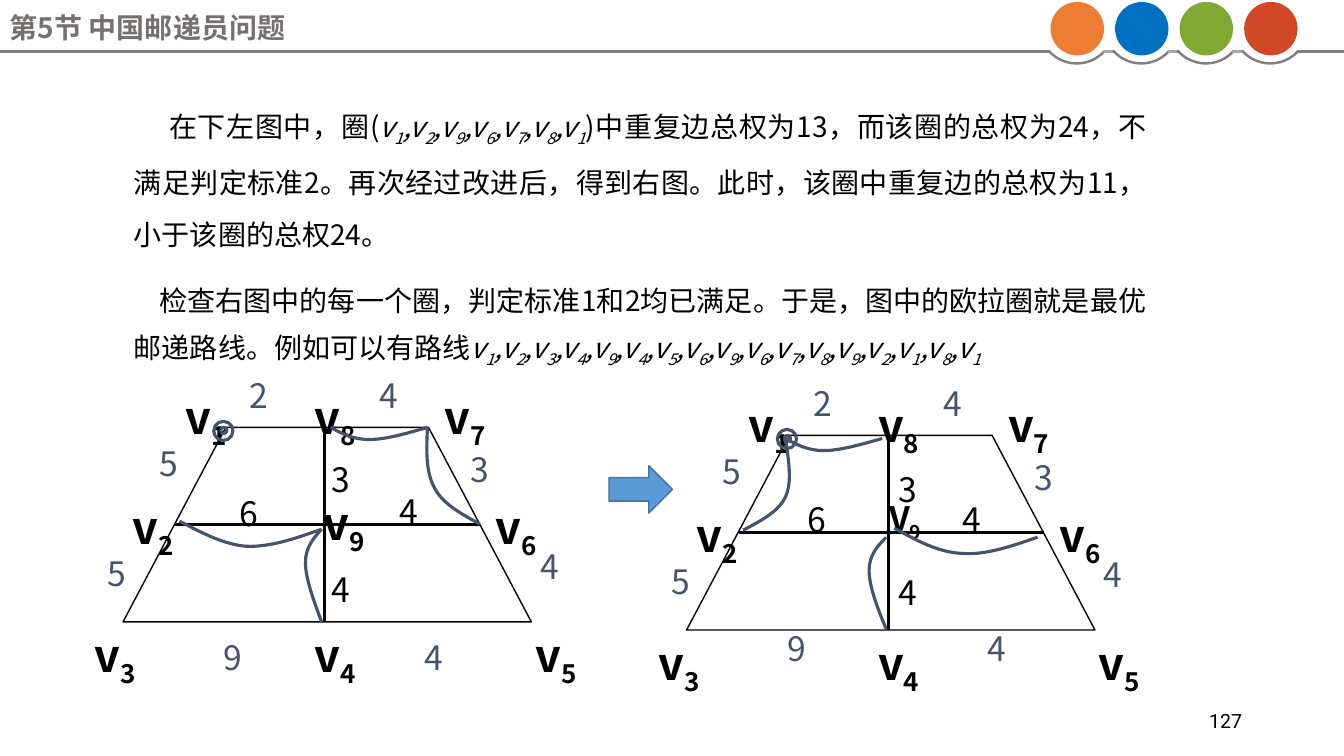
from lxml import etree
from pptx import Presentation
from pptx import util as u
from pptx.dml.color import RGBColor
from pptx.enum import shapes, text
from pptx.oxml.ns import qn

HUES = {"ink": "000000", "slate": "44546A", "title": "767171", "rule": "808080",
        "pale": "A6A6A6", "arrow": "5B9BD5", "edge": "43739E"}
DOTS = ["ED7D31", "0070C0", "80A933", "D24726"]
SANS = "Noto Sans CJK SC"

TITLE = "第5节 中国邮递员问题"
PAGE = "127"
BODY = [
    {"lead": "在下左图中，圈(", "tour": "1296781", "indent": 0.35, "before": 0,
     "tail": ")中重复边总权为13，而该圈的总权为24，不满足判定标准2。再次经过改进后，"
             "得到右图。此时，该圈中重复边的总权为11，小于该圈的总权24。"},
    {"lead": "检查右图中的每一个圈，判定标准1和2均已满足。于是，图中的欧拉圈就是最优邮递路线。"
             "例如可以有路线",
     "tour": "12349456967892181", "indent": 0.25, "before": 10, "tail": ""},
]

NODES = [("7", 3.09, -0.37), ("6", 3.6, 0.72), ("3", -0.38, 1.99), ("4", 1.8, 1.99),
         ("5", 3.99, 1.99), ("8", 1.8, -0.37), ("1", 0.52, -0.37), ("2", 0, 0.72)]
OUTER = [("2", 1.16, -0.49), ("4", 2.45, -0.49), ("5", 0.26, 0.18), ("5", -0.25, 1.27),
         ("3", 3.35, 0.24), ("4", 4.04, 1.2)]
GRAPHS = [
    {"at": (1.22, 4.24), "base": 2.11, "hub": ("v", 1.89, 0.68, 32),
     "inner": [("6", 1.06, 0.68), ("4", 1.97, 1.43), ("4", 2.64, 0.66), ("3", 1.97, 0.34)],
     "curves": [
         [(2.06, 0), (2.17, 0.06), (2.28, 0.12), (2.44, 0.12),
          (2.61, 0.12), (2.81, 0.06), (3.02, 0)],
         [(3.02, 0), (3.01, 0.22), (3, 0.44), (3.09, 0.6),
          (3.17, 0.76), (3.36, 0.86), (3.54, 0.96)],
         [(0.56, 0.93), (0.77, 1.04), (0.99, 1.16), (1.22, 1.18),
          (1.46, 1.19), (1.72, 1.1), (1.97, 1.01)],
         [(1.97, 1.01), (1.89, 1.1), (1.81, 1.19), (1.81, 1.34),
          (1.81, 1.5), (1.89, 1.71), (1.97, 1.93)]]},
    {"at": (6.81, 4.32), "base": 1.94, "hub": ("V", 1.91, 0.61, 24),
     "inner": [("6", 1.1, 0.66), ("4", 2, 1.38), ("4", 2.64, 0.66), ("3", 2, 0.36)],
     "curves": [
         [(0.98, 0.03), (1.09, 0.09), (1.2, 0.15), (1.36, 0.15),
          (1.52, 0.15), (1.73, 0.09), (1.94, 0.03)],
         [(2.06, 0.92), (2.28, 1.04), (2.49, 1.16), (2.73, 1.17),
          (2.96, 1.19), (3.22, 1.1), (3.48, 1.01)],
         [(1.98, 1.01), (1.89, 1.1), (1.81, 1.19), (1.81, 1.34),
          (1.81, 1.49), (1.89, 1.71), (1.98, 1.92)],
         [(0.98, 0.03), (1.01, 0.24), (1.05, 0.46), (0.98, 0.61),
          (0.91, 0.76), (0.73, 0.85), (0.56, 0.94)]]},
]
FRAME = [(4.05, 1.93), (3.03, 0), (1.02, 0), (0, 1.93)]
BARS = [((2, 0), (2, 1.93)), ((0.52, 0.96), (3.54, 0.96))]
RINGS = [(0.97, 0, 0.06), (0.9, -0.06, 0.19)]

deck = Presentation()
deck.slide_width, deck.slide_height = u.Inches(13.33), u.Inches(7.5)
page = deck.slides.add_slide(deck.slide_layouts[6])
items = page.shapes


def rgb(hue):
    return RGBColor.from_string(HUES.get(hue, hue))


def put(paras, box, size=24, hue="ink", font=SANS, bold=False, wrap=True, grow=False,
        pad=0.05, anchor="TOP", align=None, lead=None, first=()):
    shape = items.add_textbox(*map(u.Inches, box))
    frame = shape.text_frame
    frame.word_wrap = wrap
    frame.auto_size = text.MSO_AUTO_SIZE.SHAPE_TO_FIT_TEXT if grow else text.MSO_AUTO_SIZE.NONE
    frame.margin_top = frame.margin_bottom = u.Inches(pad)
    frame.vertical_anchor = text.MSO_ANCHOR[anchor]
    for n, runs in enumerate(paras):
        para = frame.paragraphs[0] if n == 0 else frame.add_paragraph()
        if align:
            para.alignment = text.PP_ALIGN[align]
        if lead:
            para.line_spacing = lead
        if first:
            indent, before = first[n]
            para.space_before = u.Pt(before)
            para._p.get_or_add_pPr().set("indent", str(u.Inches(indent)))
        for words, style in runs:
            run = para.add_run()
            run.text = words
            run.font.size, run.font.name = u.Pt(size), font
            run.font.color.rgb = rgb(hue)
            run.font.bold = bold
            run.font.italic = "i" in style
            props = run._r.get_or_add_rPr()
            etree.SubElement(props, qn("a:ea")).set("typeface", font)
            if "s" in style:
                props.set("baseline", "-25000")


def paint(shape, fill=None, hue=None, width=1):
    shape.shadow.inherit = False
    if fill:
        shape.fill.solid()
        shape.fill.fore_color.rgb = rgb(fill)
    else:
        shape.fill.background()
    if hue:
        shape.line.color.rgb, shape.line.width = rgb(hue), u.Pt(width)
    else:
        shape.line.fill.background()


def add(kind, box, **look):
    shape = items.add_shape(shapes.MSO_SHAPE[kind], *map(u.Inches, box))
    paint(shape, **look)
    return shape


def rule(start, end, hue, width):
    line = items.add_connector(shapes.MSO_CONNECTOR.STRAIGHT, *map(u.Inches, start + end))
    line.line.color.rgb, line.line.width = rgb(hue), u.Pt(width)
    etree.SubElement(line._element.spPr, qn("a:effectLst"))


def trace(points, closed=False, **look):
    spots = [(u.Inches(x), u.Inches(y)) for x, y in points]
    pen = items.build_freeform(*spots[0], scale=1.0)
    pen.add_line_segments(spots[1:], close=closed)
    shape = pen.convert_to_shape()
    paint(shape, **look)
    return shape


def bend(points, **look):
    route = trace(points, **look)._element.find(".//" + qn("a:path"))
    steps = route.findall(qn("a:lnTo"))
    for n in range(0, len(steps), 3):
        curve = etree.SubElement(route, qn("a:cubicBezTo"))
        for step in steps[n:n + 3]:
            curve.append(step[0])
            route.remove(step)


def tour(nodes):
    runs = []
    for n, node in enumerate(nodes):
        runs += [(",v" if n else "v", "i"), (node, "is")]
    return runs


def draw(graph):
    left, top = graph["at"]

    def move(points):
        return [(left + x, top + y) for x, y in points]

    def mark(letter, node, x, y, size):
        put([[(letter, ""), (node, "s")]], (left + x, top + y, 0.65, 0.56),
            size=size, bold=True, wrap=False, grow=True, lead=0.8)

    trace(move(FRAME), closed=True, hue="ink")
    for bar in BARS:
        rule(*move(bar), "ink", 2.25)
    for node, x, y in NODES:
        mark("v", node, x, y, 32)
    base = [("9", 0.9, graph["base"]), ("4", 2.89, graph["base"])]
    for hue, group in (("slate", OUTER + base), ("ink", graph["inner"])):
        for weight, x, y in group:
            put([[(weight, "")]], (left + x, top + y, 0.34, 0.44),
                hue=hue, grow=True, lead=0.8)
    letter, x, y, size = graph["hub"]
    mark(letter, "9", x, y, size)
    for x, y, side in RINGS:
        add("OVAL", (left + x, top + y, side, side), hue="slate", width=2.25)
    for curve in graph["curves"]:
        bend(move(curve), hue="slate", width=2.25)


put([[(p["lead"], "")] + tour(p["tour"]) + ([(p["tail"], "")] if p["tail"] else [])
     for p in BODY],
    (1.23, 0.9, 10.24, 2.9), size=20, align="JUSTIFY", lead=u.Pt(37),
    first=[(p["indent"], p["before"]) for p in BODY])
put([[(PAGE, "")]], (9.42, 6.95, 3, 0.4), size=14, font="Roboto",
    anchor="MIDDLE", align="RIGHT")

rule((0, 0.51), (10.41, 0.51), "rule", 1.77)
rule((12.86, 0.51), (13.33, 0.51), "rule", 1.77)
for n, dot in enumerate(DOTS):
    x = 10.42 + 0.64 * n
    add("OVAL", (x, 0.02, 0.53, 0.53), fill=dot)
    arc = add("ARC", (x - 0.11, -0.11, 0.74, 0.74), hue="rule", width=1.77)
    arc.adjustments[0], arc.adjustments[1] = 25.38, 83.6
    if n < len(DOTS) - 1:
        rule((x + 0.52, 0.51), (x + 0.63, 0.51), "pale", 1.77)
put([[(TITLE, "")]], (0, 0.1, 10.96, 0.36), size=20, hue="title", bold=True, pad=0)

for graph in GRAPHS:
    draw(graph)
add("RIGHT_ARROW", (6.04, 4.62, 0.63, 0.47), fill="arrow", hue="edge")

deck.save("out.pptx")
